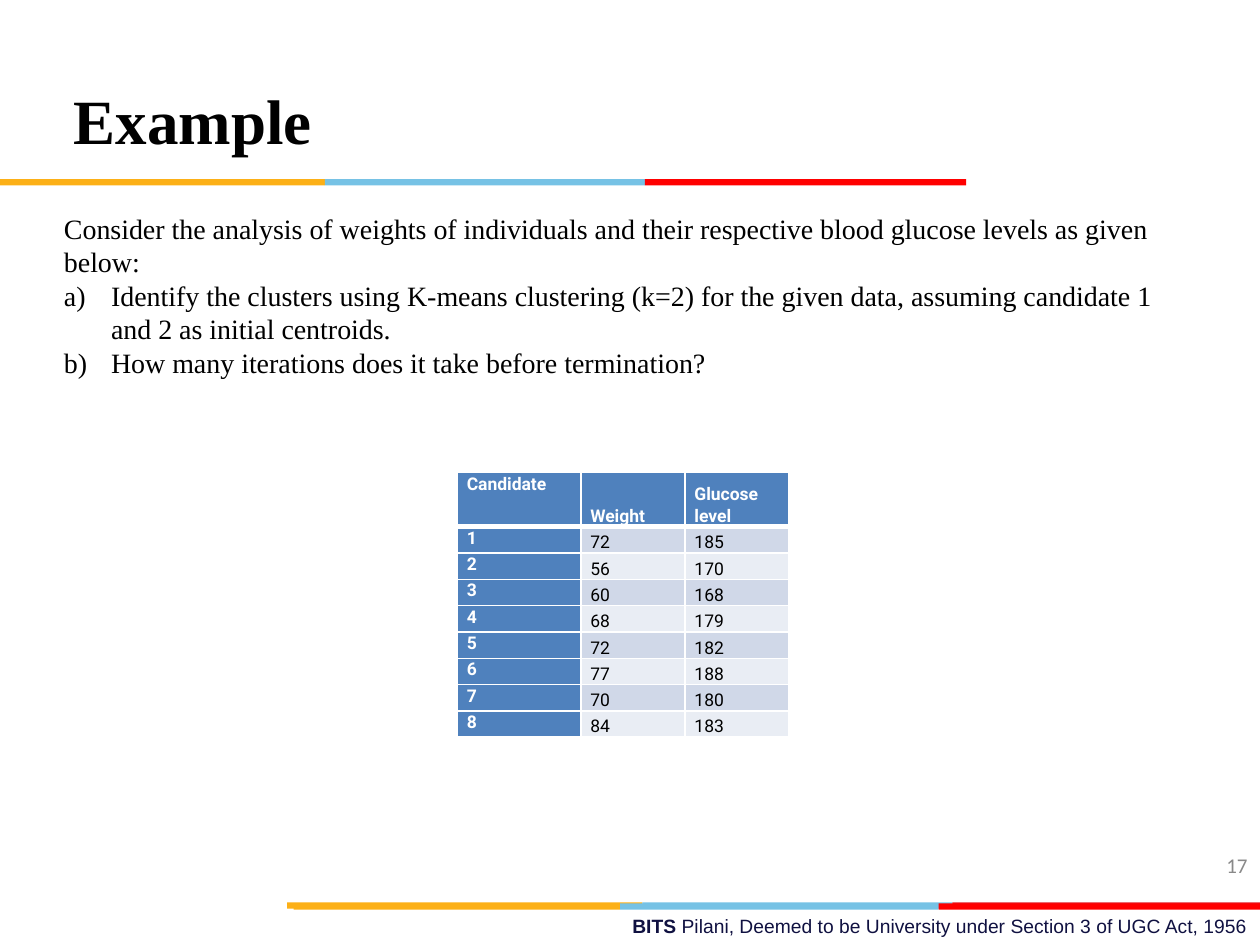
from itertools import pairwise

from lxml.etree import SubElement
from pptx import Presentation
from pptx.dml.color import RGBColor
from pptx.enum.shapes import MSO_SHAPE as Shape
from pptx.enum.text import MSO_ANCHOR as Anchor, MSO_AUTO_SIZE as AutoSize, PP_ALIGN as Align
from pptx.oxml.ns import qn
from pptx.util import Cm, Pt

GOLD, SKY, RED, DARK_RED = "FCB017", "76C2E5", "FF0000", "E31C24"
BLUE, BAND_DARK, BAND_LIGHT = "4F81BD", "D0D8E8", "E9EDF4"
BLACK, WHITE, GREY, NAVY = "000000", "FFFFFF", "898989", "101141"
SERIF = "Times New Roman"

HEADINGS = ["Candidate", "Weight", "Glucose level"]
MEASUREMENTS = [(72, 185), (56, 170), (60, 168), (68, 179),
                (72, 182), (77, 188), (70, 180), (84, 183)]


def color(hex_code):
    return RGBColor.from_string(hex_code)


def write_paragraph(paragraph, text, *, font, size, ink=BLACK, bold=False,
                    bold_lead="", align=None, spacing=None, lettered=False):
    """Fill a paragraph; bold_lead is a bold run placed before the text."""
    if lettered:
        properties = paragraph._p.get_or_add_pPr()
        properties.set("marL", str(Cm(0.95)))
        properties.set("indent", str(-Cm(0.95)))
        SubElement(properties, qn("a:buFont"), typeface="+mj-lt")
        SubElement(properties, qn("a:buAutoNum"), type="alphaLcParenR")
    paragraph.alignment = align
    paragraph.line_spacing = spacing
    for words, weight in ((bold_lead, True), (text, bold)):
        if words:
            run = paragraph.add_run()
            run.text = words
            run.font.name = font
            run.font.size = Pt(size)
            run.font.bold = weight
            run.font.color.rgb = color(ink)


def add_text_frame(slide, left, top, width, height, anchor=Anchor.TOP, grow=True):
    box = slide.shapes.add_textbox(Cm(left), Cm(top), Cm(width), Cm(height))
    frame = box.text_frame
    frame.word_wrap = True
    frame.auto_size = AutoSize.SHAPE_TO_FIT_TEXT if grow else AutoSize.NONE
    frame.vertical_anchor = anchor
    return frame


def add_stripe(slide, top, edges, colors):
    """Draw a band of adjoining bars between successive edges."""
    for (left, right), fill in zip(pairwise(edges), colors):
        bar = slide.shapes.add_shape(Shape.RECTANGLE, Cm(left), Cm(top),
                                     Cm(right - left), Cm(0.13))
        bar.shadow.inherit = False
        bar.fill.solid()
        bar.fill.fore_color.rgb = color(fill)
        bar.line.fill.background()


def set_borders(cell, **widths):
    properties = cell._tc.get_or_add_tcPr()
    for side in "LRTB":
        line = SubElement(properties, qn(f"a:ln{side}"), w=str(Pt(widths.get(side, 1))))
        fill = SubElement(line, qn("a:solidFill"))
        SubElement(fill, qn("a:srgbClr"), val=WHITE)


def add_glucose_table(slide):
    rows = [HEADINGS] + [(number, *pair) for number, pair in enumerate(MEASUREMENTS, 1)]
    widths = [2.49, 2.1, 2.1]
    heights = [1.09] + [0.53] * len(MEASUREMENTS)
    table = slide.shapes.add_table(len(rows), len(widths), Cm(9.22), Cm(9.53),
                                   Cm(sum(widths)), Cm(sum(heights))).table
    table.first_col = True
    for column, width in zip(table.columns, widths):
        column.width = Cm(width)
    for r, (row, height) in enumerate(zip(rows, heights)):
        table.rows[r].height = Cm(height)
        for c, value in enumerate(row):
            cell = table.cell(r, c)
            heading = r == 0 or c == 0
            set_borders(cell, T=3 if r == 1 else 1, B=3 if r == 0 else 1)
            cell.fill.solid()
            band = BAND_DARK if r % 2 else BAND_LIGHT
            cell.fill.fore_color.rgb = color(BLUE if heading else band)
            cell.margin_left = cell.margin_right = Cm(0.19)
            cell.margin_top = cell.margin_bottom = 0
            cell.vertical_anchor = Anchor.BOTTOM if c else Anchor.TOP
            write_paragraph(cell.text_frame.paragraphs[0], str(value), font="Roboto",
                            size=10, ink=WHITE if heading else BLACK, bold=heading,
                            align=Align.JUSTIFY, spacing=1.07)


def add_question(slide):
    frame = add_text_frame(slide, 1.04, 4.11, 22.53, 3.68, anchor=Anchor.MIDDLE)
    write_paragraph(frame.paragraphs[0],
                    "Consider the analysis of weights of individuals and their respective "
                    "blood glucose levels as given below:", font=SERIF, size=16)
    for task in ("Identify the clusters using K-means clustering (k=2) for the given data, "
                 "assuming candidate 1 and 2 as initial centroids.",
                 "How many iterations does it take before termination?"):
        write_paragraph(frame.add_paragraph(), task, font=SERIF, size=16, lettered=True)


def main():
    deck = Presentation()
    deck.slide_width, deck.slide_height = Cm(25.4), Cm(19.05)
    slide = deck.slides.add_slide(deck.slide_layouts[6])

    footer = add_text_frame(slide, 9.09, 18.31, 16.31, 0.74)
    write_paragraph(footer.paragraphs[0],
                    "Pilani, Deemed to be University under Section 3 of UGC Act, 1956",
                    bold_lead="BITS ", font="Arial", size=11, ink=NAVY, align=Align.RIGHT)
    add_stripe(slide, 18.19, [5.79, 12.95, 19.2, 25.4], [GOLD, SKY, DARK_RED])
    add_stripe(slide, 18.21, [5.92, 12.5, 18.92, 25.4], [GOLD, SKY, RED])
    add_stripe(slide, 3.61, [0, 6.55, 13, 19.48], [GOLD, SKY, RED])

    page_number = add_text_frame(slide, 19.48, 16.94, 5.92, 1.02,
                                 anchor=Anchor.MIDDLE, grow=False)
    write_paragraph(page_number.paragraphs[0], "17", font="Calibri", size=12,
                    ink=GREY, align=Align.RIGHT)
    title = add_text_frame(slide, 1.24, 1.52, 12.27, 1.8)
    write_paragraph(title.paragraphs[0], "Example", font=SERIF, size=36, bold=True)

    add_glucose_table(slide)
    add_question(slide)
    deck.save("out.pptx")


if __name__ == "__main__":
    main()
